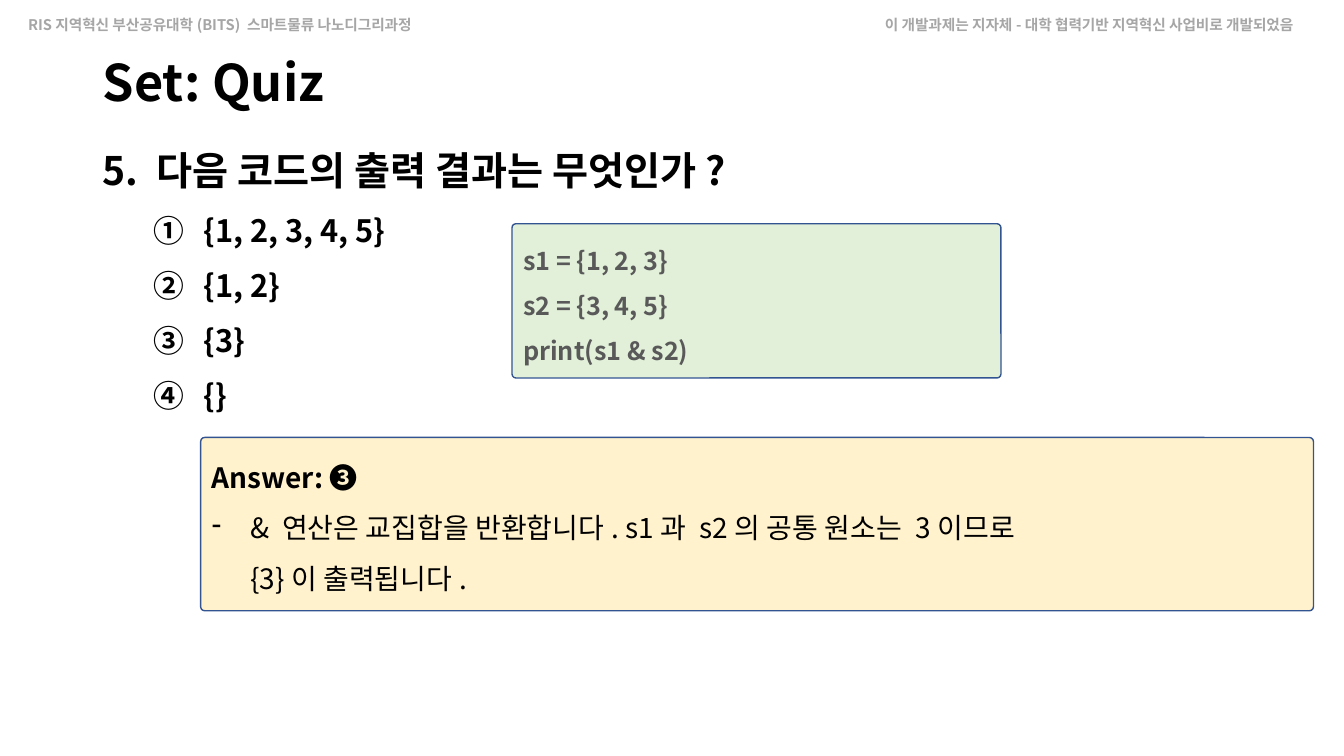
from lxml import etree
from pptx import Presentation, util as u
from pptx.dml.color import RGBColor
from pptx.enum import shapes, text
from pptx.oxml.ns import qn

FONT = "Noto Sans CJK KR"
COLORS = {"header": "A6A6A6", "ink": "000000", "code": "595959", "line": "325491",
          "answer_fill": "FFF2CC", "code_fill": "E2F0D9"}

prs = Presentation()
prs.slide_width, prs.slide_height = u.Inches(13.333), u.Inches(7.5)
s = prs.slides.add_slide(prs.slide_layouts[6])

# Grid of 100 columns by 100 rows
COL, ROW = prs.slide_width / 100, prs.slide_height / 100


def cells(left, top, width, height):
    return [u.Emu(round(n)) for n in (left * COL, top * ROW, width * COL, height * ROW)]


def add_text(tf, words, size, color="ink", bold=True, spacing=None, before=0,
             level=0, margin=0, hang=0, bullet=None):
    """Write one paragraph; bullet is a (tag, attribute, value) triple."""
    used = tf.paragraphs[0].runs
    p = tf.add_paragraph() if used else tf.paragraphs[0]
    p.alignment = text.PP_ALIGN.LEFT
    p.level = level
    p.space_before = u.Pt(before)
    if spacing:
        p.line_spacing = spacing
    if bullet:
        tag, attribute, value = bullet
        pPr = p._p.get_or_add_pPr()
        pPr.set("marL", str(u.Inches(margin)))
        pPr.set("indent", str(-u.Inches(hang)))
        etree.SubElement(pPr, qn(tag)).set(attribute, value)
    p.text = words
    for r in p.runs:
        r.font.size, r.font.bold, r.font.name = u.Pt(size), bold, FONT
        r.font.color.rgb = RGBColor.from_string(COLORS[color])
        etree.SubElement(r.font._element, qn("a:ea")).set("typeface", FONT)


# Header, left and right
for left, width, wrap, words in (
        (1.35, 31.8, False, "RIS지역혁신 부산공유대학(BITS) 스마트물류 나노디그리과정"),
        (65.1, 34.9, True, "이 개발과제는 지자체-대학 협력기반 지역혁신 사업비로 개발되었음")):
    tf = s.shapes.add_textbox(*cells(left, 1.47, width, 3.73)).text_frame
    tf.word_wrap = wrap
    add_text(tf, words, 10.5, "header")

# Title
tf = s.shapes.add_textbox(*cells(6.9, 5.33, 86.25, 12)).text_frame
tf.word_wrap = True
tf.vertical_anchor = text.MSO_ANCHOR.MIDDLE
add_text(tf, "Set: Quiz", 36, spacing=0.9)

# Question and choices
tf = s.shapes.add_textbox(*cells(6.9, 15.6, 92.1, 84.4)).text_frame
tf.word_wrap = True
add_text(tf, "5. 다음 코드의 출력 결과는 무엇인가?", 28, spacing=1.5)
for choice in ("{1, 2, 3, 4, 5}", "{1, 2}", "{3}", "{}"):
    add_text(tf, choice, 22, spacing=1.3, before=5, level=1, margin=1, hang=0.5,
             bullet=("a:buAutoNum", "type", "circleNumDbPlain"))

# Answer and code panels
panels = {}
for name, place, corner in (("answer", (14.93, 57.87, 82.8, 22.93), 0.024),
                            ("code", (38.1, 29.6, 36.38, 20.4), 0.025)):
    sp = s.shapes.add_shape(shapes.MSO_SHAPE.ROUNDED_RECTANGLE, *cells(*place))
    sp.adjustments[0] = corner
    sp.shadow.inherit = False
    sp.fill.solid()
    sp.fill.fore_color.rgb = RGBColor.from_string(COLORS[name + "_fill"])
    sp.line.color.rgb = RGBColor.from_string(COLORS["line"])
    sp.line.width = u.Pt(1)
    panels[name] = sp.text_frame
    panels[name].word_wrap = True
    panels[name].vertical_anchor = text.MSO_ANCHOR.TOP

add_text(panels["answer"], "Answer: ❸", 20, spacing=1.5)
add_text(panels["answer"],
         "& 연산은 교집합을 반환합니다. s1과 s2의 공통 원소는 3이므로 \v{3}이 출력됩니다.",
         20, bold=False, spacing=1.5, margin=0.38, hang=0.38,
         bullet=("a:buChar", "char", "-"))
for code_line in ("s1 = {1, 2, 3}", "s2 = {3, 4, 5}", "print(s1 & s2)"):
    add_text(panels["code"], code_line, 18, "code", spacing=1.5)

prs.save("out.pptx")
